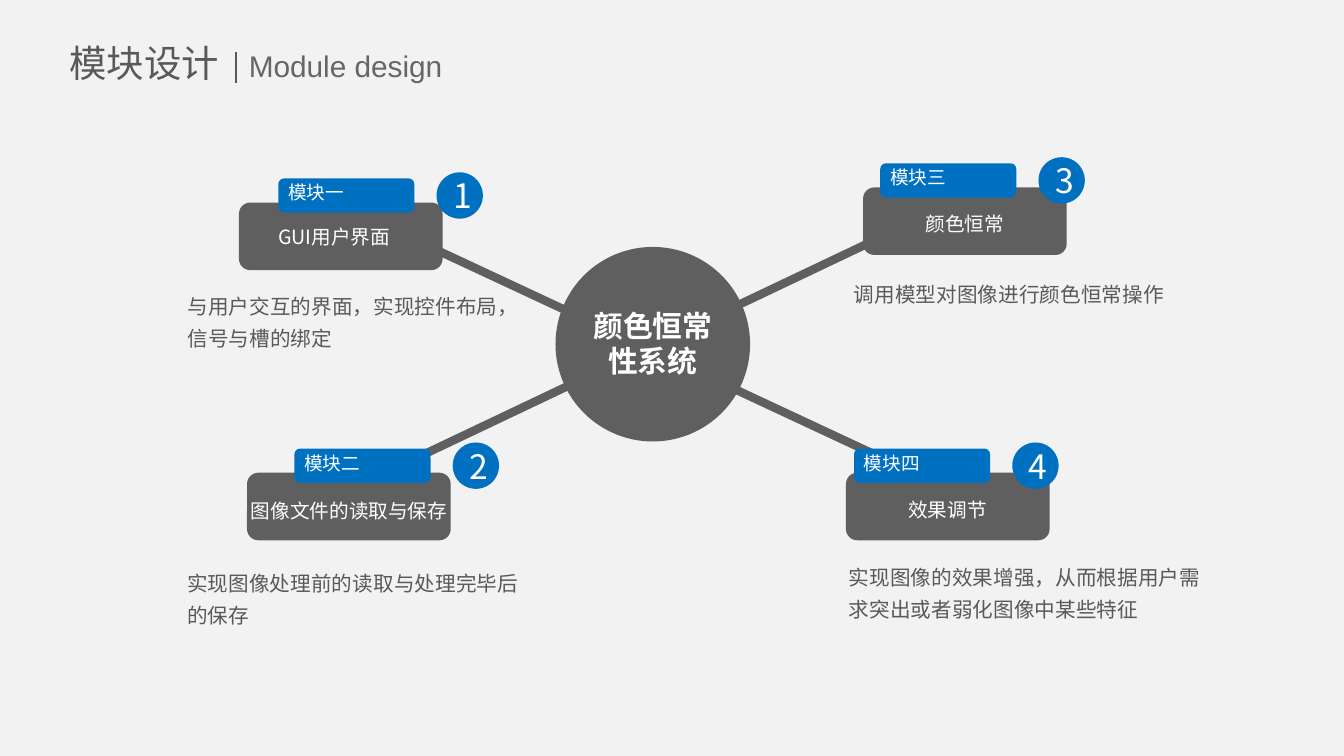
"""Build the module design slide: a central system linked to four modules."""
from dataclasses import dataclass

from lxml import etree
from pptx import Presentation
from pptx.dml.color import RGBColor
from pptx.enum.shapes import MSO_CONNECTOR, MSO_SHAPE
from pptx.enum.text import MSO_ANCHOR, MSO_AUTO_SIZE, PP_ALIGN
from pptx.oxml.ns import qn
from pptx.util import Inches, Pt

STRAIGHT = MSO_CONNECTOR.STRAIGHT
ROUNDED, OVAL = MSO_SHAPE.ROUNDED_RECTANGLE, MSO_SHAPE.OVAL
MIDDLE, CENTER, LEFT = MSO_ANCHOR.MIDDLE, PP_ALIGN.CENTER, PP_ALIGN.LEFT
GROW = MSO_AUTO_SIZE.SHAPE_TO_FIT_TEXT


@dataclass(frozen=True)
class Theme:
    """Colours, fonts and type sizes."""
    paper: str = "F2F2F2"
    gray: str = "5F5F5F"
    blue: str = "0070C0"
    white: str = "FFFFFF"
    ink: str = "595959"
    subtitle_ink: str = "666666"
    chinese: str = "Noto Sans CJK SC"
    latin: str = "Arial"
    title: float = 26.7
    subtitle: float = 21.3
    hub: float = 21.3
    badge: float = 24
    body: float = 14.7
    name: float = 14
    tag: float = 13.3


THEME = Theme()
TITLE, SUBTITLE, HUB = "模块设计", "Module design", "颜色恒常性系统"
MODULES = [
    {"tag": "模块一", "name": "GUI用户界面", "tag_at": (2.76, 1.77), "card_left": 2.37,
     "name_box": (2.66, 2.18, 2.09, 0.34), "name_wraps": True,
     "body": "与用户交互的界面，实现控件布局，信号与槽的绑定", "body_box": (1.76, 2.79, 3.31, 0.71)},
    {"tag": "模块二", "name": "图像文件的读取与保存", "tag_at": (2.92, 4.45), "card_left": 2.45,
     "name_box": (2.39, 4.9, 2.17, 0.34), "name_wraps": False,
     "body": "实现图像处理前的读取与处理完毕后的保存", "body_box": (1.76, 5.54, 3.57, 0.71)},
    {"tag": "模块三", "name": "颜色恒常", "tag_at": (8.73, 1.62), "card_left": 8.56,
     "name_box": (9.08, 2.05, 0.99, 0.34), "name_wraps": False,
     "body": "调用模型对图像进行颜色恒常操作", "body_box": (8.37, 2.67, 3.32, 0.39)},
    {"tag": "模块四", "name": "效果调节", "tag_at": (8.47, 4.45), "card_left": 8.39,
     "name_box": (8.91, 4.89, 0.99, 0.34), "name_wraps": False,
     "body": "实现图像的效果增强，从而根据用户需求突出或者弱化图像中某些特征",
     "body_box": (8.32, 5.48, 3.71, 0.71)},
]
SPOKES = [((3.19, 4.99), (9.84, 1.83)), ((9.62, 4.95), (4.33, 2.48))]


def color(code):
    return RGBColor.from_string(code)


def write(shape, text, size, ink, font=THEME.chinese, bold=None, align=LEFT, spacing=None):
    para = shape.text_frame.paragraphs[0]
    para.text = text
    para.alignment = align
    para.line_spacing = spacing
    span = para.runs[0]
    span.font.size, span.font.bold, span.font.name = Pt(size), bold, font
    span.font.color.rgb = color(ink)
    east_asian = etree.SubElement(span.font._element, qn("a:ea"))
    east_asian.set("typeface", font)


def add_text(page, place, text, size, ink, wrap=False, **style):
    box = page.shapes.add_textbox(*map(Inches, place))
    box.text_frame.word_wrap = wrap
    box.text_frame.auto_size = GROW
    write(box, text, size, ink, **style)
    return box


def add_filled(page, kind, place, fill):
    shape = page.shapes.add_shape(kind, *map(Inches, place))
    shape.shadow.inherit = False
    shape.fill.solid()
    shape.fill.fore_color.rgb = color(fill)
    shape.line.fill.background()
    return shape


def add_line(page, start, end, ink, width):
    line = page.shapes.add_connector(STRAIGHT, *map(Inches, start + end))
    line.line.color.rgb = color(ink)
    line.line.width = Pt(width)
    etree.SubElement(line._element.spPr, qn("a:effectLst"))


def add_module(page, number, module):
    left, top = module["tag_at"]
    add_filled(page, ROUNDED, (module["card_left"], top + 0.24, 2.02, 0.67), THEME.gray)
    add_filled(page, ROUNDED, (left, top, 1.35, 0.34), THEME.blue)
    add_text(page, module["name_box"], module["name"], THEME.name, THEME.white,
             wrap=module["name_wraps"])
    add_text(page, (left, top - 0.02, 0.76, 0.33), module["tag"], THEME.tag, THEME.white)
    badge = add_filled(page, OVAL, (left + 1.57, top - 0.06, 0.46, 0.46), THEME.blue)
    badge.text_frame.vertical_anchor = MIDDLE
    write(badge, str(number), THEME.badge, THEME.white, align=CENTER)
    add_text(page, module["body_box"], module["body"], THEME.body, THEME.ink,
             wrap=True, spacing=1.3)


def add_hub(page):
    add_filled(page, OVAL, (5.51, 2.45, 1.93, 1.93), THEME.gray)
    label = add_text(page, (5.8, 3.05, 1.35, 0.72), HUB, THEME.hub, THEME.white,
                     wrap=True, bold=True, align=CENTER)
    frame = label.text_frame
    frame.margin_left = frame.margin_right = frame.margin_top = frame.margin_bottom = 0


def main():
    deck = Presentation()
    deck.slide_width, deck.slide_height = Inches(13.33), Inches(7.5)
    page = deck.slides.add_slide(deck.slide_layouts[6])
    page.background.fill.solid()
    page.background.fill.fore_color.rgb = color(THEME.paper)
    for start, end in SPOKES:
        add_line(page, start, end, THEME.gray, 6)
    add_hub(page)
    for number, module in enumerate(MODULES, 1):
        add_module(page, number, module)
    add_text(page, (0.59, 0.35, 1.7, 0.55), TITLE, THEME.title, THEME.ink)
    add_text(page, (2.37, 0.42, 2.15, 0.46), SUBTITLE, THEME.subtitle, THEME.subtitle_ink,
             font=THEME.latin)
    add_line(page, (2.34, 0.52), (2.34, 0.82), THEME.ink, 1.5)
    deck.save("out.pptx")


if __name__ == "__main__":
    main()
